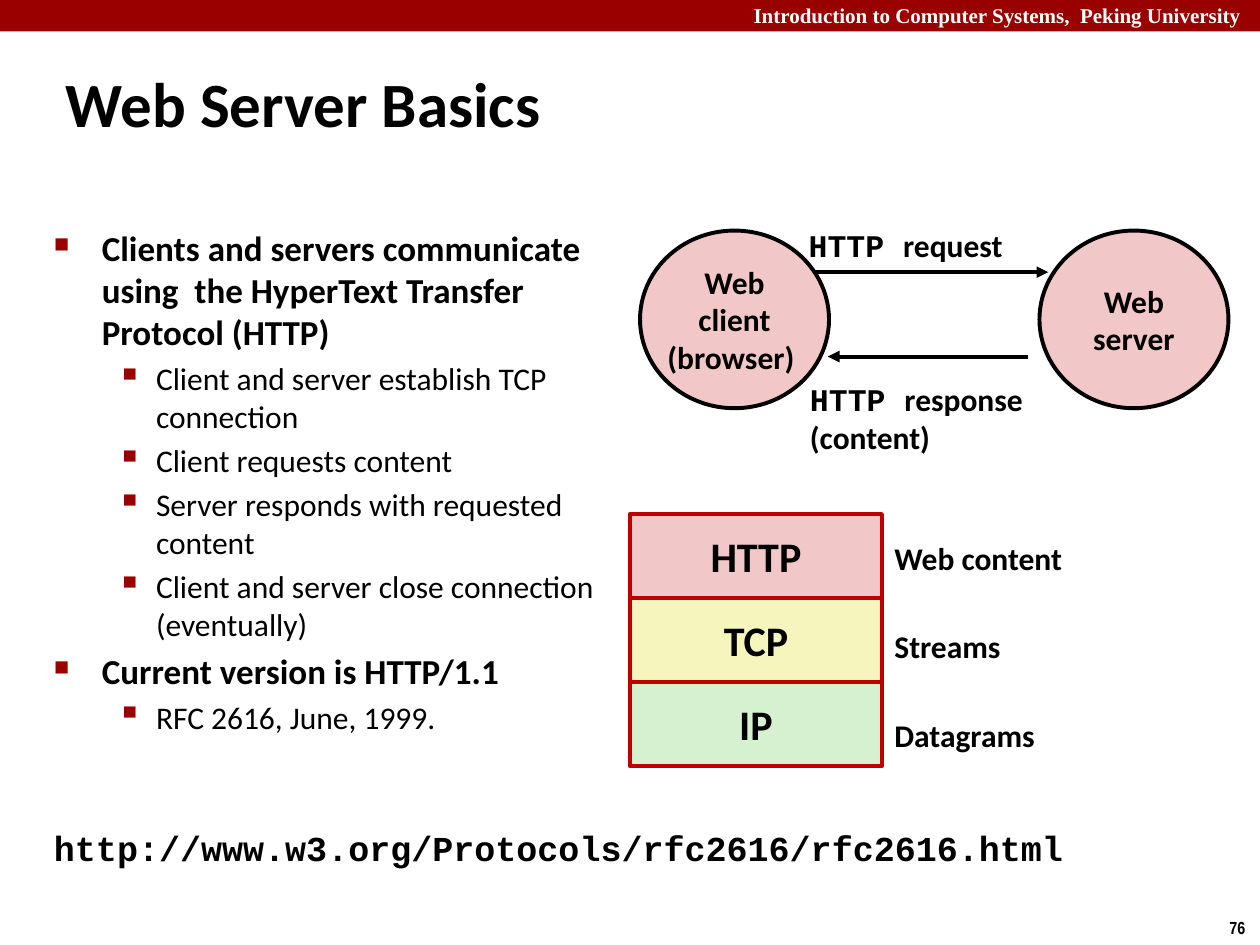
from lxml.etree import SubElement
from pptx import Presentation
from pptx.dml.color import RGBColor
from pptx.enum.shapes import MSO_CONNECTOR as CONN, MSO_SHAPE as SHAPE
from pptx.enum.text import MSO_ANCHOR as ANCHOR, MSO_AUTO_SIZE as AUTO, PP_ALIGN as ALIGN
from pptx.oxml.ns import qn
from pptx.util import Inches, Pt

SANS, MONO = "Calibri", "Courier New"
BLACK, WHITE, DARK_RED, RED = "000000", "FFFFFF", "990000", "C00000"
PINK, YELLOW, GREEN = "F1C7C7", "F6F5BD", "D5F1CF"

TITLE = "Web Server Basics"
POINTS = [
    (0, "Clients and servers communicate using  the HyperText Transfer Protocol (HTTP)"),
    (1, "Client and server establish TCP connection"),
    (1, "Client requests content"),
    (1, "Server responds with requested content"),
    (1, "Client and server close connection (eventually)"),
    (0, "Current version is HTTP/1.1"),
    (1, "RFC 2616, June, 1999."),
]
LEVELS = [
    dict(size=20, bold=True, left=0.38, hang=0.38, char="■", scale=60),
    dict(size=18, bold=False, left=0.81, hang=0.31, char="▪", scale=110),
]
LAYERS = [("HTTP", PINK, "Web content"), ("TCP", YELLOW, "Streams"), ("IP", GREEN, "Datagrams")]


def rgb(color):
    """Turn a hex string into a colour."""
    return RGBColor.from_string(color)


def inches(*lengths):
    """Turn plain numbers into lengths."""
    return [Inches(n) for n in lengths]


def add_run(p, text, size=18, font=SANS, color=BLACK, bold=True):
    """Add one formatted run to a paragraph."""
    r = p.add_run()
    r.text = text
    r.font.size, r.font.name, r.font.bold = Pt(size), font, bold
    r.font.color.rgb = rgb(color)


def write(sp, *lines, align=ALIGN.LEFT, anchor=ANCHOR.TOP, wrap=False, grow=False, **fmt):
    """Write lines into a shape; a line is a string or a list of (text, font) pairs."""
    tf = sp.text_frame
    tf.word_wrap, tf.vertical_anchor = wrap, anchor
    tf.auto_size = AUTO.SHAPE_TO_FIT_TEXT if grow else AUTO.NONE
    for i, line in enumerate(lines):
        p = tf.paragraphs[0] if i == 0 else tf.add_paragraph()
        p.alignment = align
        if isinstance(line, str):
            add_run(p, line, **fmt)
        else:
            for text, font in line:
                add_run(p, text, **{**fmt, "font": font})
    return tf


def add_label(s, box, *lines, grow=True, **fmt):
    """Add a text box with formatted lines."""
    return write(s.shapes.add_textbox(*inches(*box)), *lines, grow=grow, **fmt)


def add_block(s, kind, box, fill, line=None):
    """Add a filled preset shape, outlined if a line colour is given."""
    sp = s.shapes.add_shape(kind, *inches(*box))
    sp.shadow.inherit = False
    sp.fill.solid()
    sp.fill.fore_color.rgb = rgb(fill)
    if line:
        sp.line.color.rgb = rgb(line)
        sp.line.width = Pt(2.25)
    else:
        sp.line.fill.background()
    return sp


def add_arrow(s, x1, x2, y):
    """Add a horizontal arrow that points at x2."""
    cxn = s.shapes.add_connector(CONN.STRAIGHT, *inches(x1, y, x2, y))
    cxn.line.color.rgb = rgb(BLACK)
    cxn.line.width = Pt(2.25)
    SubElement(cxn.line._get_or_add_ln(), qn("a:tailEnd"), type="triangle")
    SubElement(cxn._element.spPr, qn("a:effectLst"))


def set_indent(p, left, hang):
    """Give a paragraph a hanging indent and return its properties."""
    pPr = p._p.get_or_add_pPr()
    pPr.set("marL", str(Inches(left)))
    pPr.set("indent", str(-Inches(hang)))
    return pPr


def set_bullet(p, left, hang, char, scale):
    """Give a paragraph a coloured bullet."""
    pPr = set_indent(p, left, hang)
    SubElement(SubElement(pPr, qn("a:buClr")), qn("a:srgbClr"), val=DARK_RED)
    SubElement(pPr, qn("a:buSzPct"), val=str(scale * 1000))
    SubElement(pPr, qn("a:buChar"), char=char)


def build_frame(s, width):
    """Draw the top band with the course name, and the page number."""
    add_block(s, SHAPE.RECTANGLE, (0, 0, width, 0.25), DARK_RED)
    add_label(s, (4.75, -0.03, 5.24, 0.3), "Introduction to Computer Systems,  Peking University ",
              align=ALIGN.RIGHT, wrap=True, size=12, font="Times New Roman", color=WHITE)
    add_label(s, (9.66, 7.23, 0.34, 0.27), "76", size=10, font="Arial Narrow")


def build_title(s, box):
    """Place and format the title placeholder."""
    sp = s.shapes.title
    sp.left, sp.top, sp.width, sp.height = inches(*box)
    tf = write(sp, TITLE, wrap=True, size=36)
    set_indent(tf.paragraphs[0], 0.13, 0.13)


def build_points(s, box):
    """Write the two-level bullet list."""
    tf = s.shapes.add_textbox(*inches(*box)).text_frame
    tf.word_wrap = True
    for i, (level, text) in enumerate(POINTS):
        style = dict(LEVELS[level])
        size, bold = style.pop("size"), style.pop("bold")
        p = tf.paragraphs[0] if i == 0 else tf.add_paragraph()
        p.level = level
        p.space_before = Pt(size * 0.2)
        set_bullet(p, **style)
        add_run(p, text, size=size, bold=bold)


def build_exchange(s, left, top, width, height):
    """Draw client and server with the messages between them."""
    node_w = 1.5
    server_x, client_right = left + width - node_w, left + node_w
    middle = dict(anchor=ANCHOR.MIDDLE)
    centred = dict(align=ALIGN.CENTER, **middle)

    server = add_block(s, SHAPE.OVAL, (server_x, top, node_w, height), PINK, BLACK)
    write(server, "Web", "server", **centred)
    add_arrow(s, client_right - 0.17, server_x + 0.07, top + 0.33)
    add_arrow(s, server_x - 0.09, client_right - 0.01, top + 1)
    add_label(s, (client_right - 0.26, top - 0.09, 1.76, 0.4),
              [("HTTP ", MONO), ("request", SANS)], **middle)
    add_label(s, (client_right - 0.25, top + 1.13, 1.91, 0.71),
              [("HTTP ", MONO), ("response", SANS)], "(content)", **middle)
    client = add_block(s, SHAPE.OVAL, (left, top, node_w, height), PINK, BLACK)
    write(client, "Web", "client", "(browser) ", **centred)


def build_stack(s, left, top, width, height):
    """Draw the protocol layers, each with what it carries."""
    row = height / len(LAYERS)
    label_widths = (1.54, 1.05, 1.33)
    for i, ((name, fill, carried), label_w) in enumerate(zip(LAYERS, label_widths)):
        sp = add_block(s, SHAPE.RECTANGLE, (left, top + i * row, width, row), fill, RED)
        write(sp, name, align=ALIGN.CENTER, anchor=ANCHOR.MIDDLE, wrap=True, size=24)
        add_label(s, (left + width, top + 0.15 + i * 0.7, label_w, 0.4), carried)


def main():
    """Build the slide and save it."""
    prs = Presentation()
    prs.slide_width, prs.slide_height = inches(10, 7.5)
    s = prs.slides.add_slide(prs.slide_layouts[5])
    build_frame(s, 10)
    build_title(s, (0.42, 0.46, 4.08, 0.63))
    build_points(s, (0.33, 1.75, 4.58, 5.13))
    build_exchange(s, 5.08, 1.83, 4.67, 1.41)
    build_stack(s, 5, 4.08, 2, 2)
    add_label(s, (0.33, 6.51, 8.28, 0.44), "http://www.w3.org/Protocols/rfc2616/rfc2616.html",
              size=20, font=MONO)
    prs.save("out.pptx")


if __name__ == "__main__":
    main()
